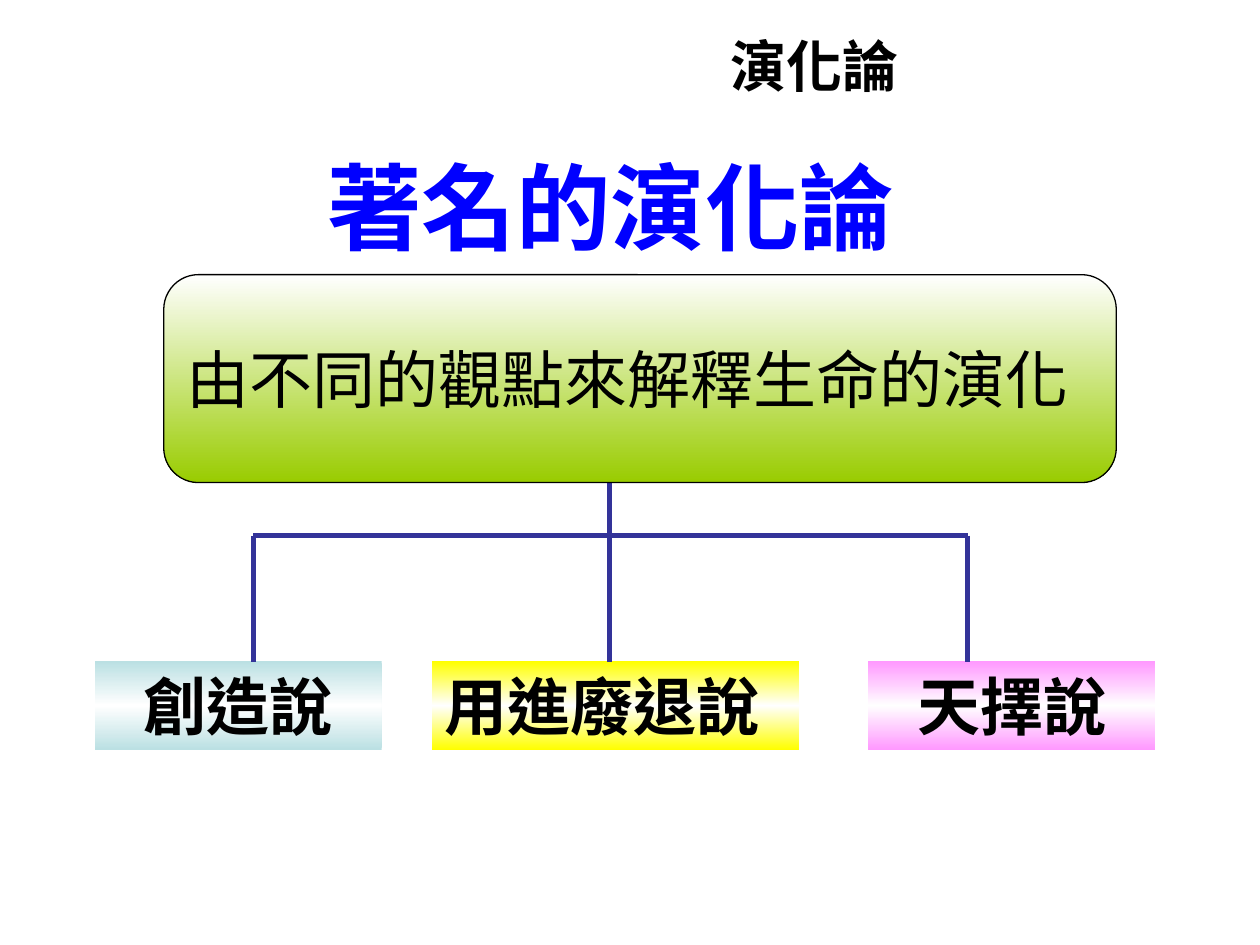
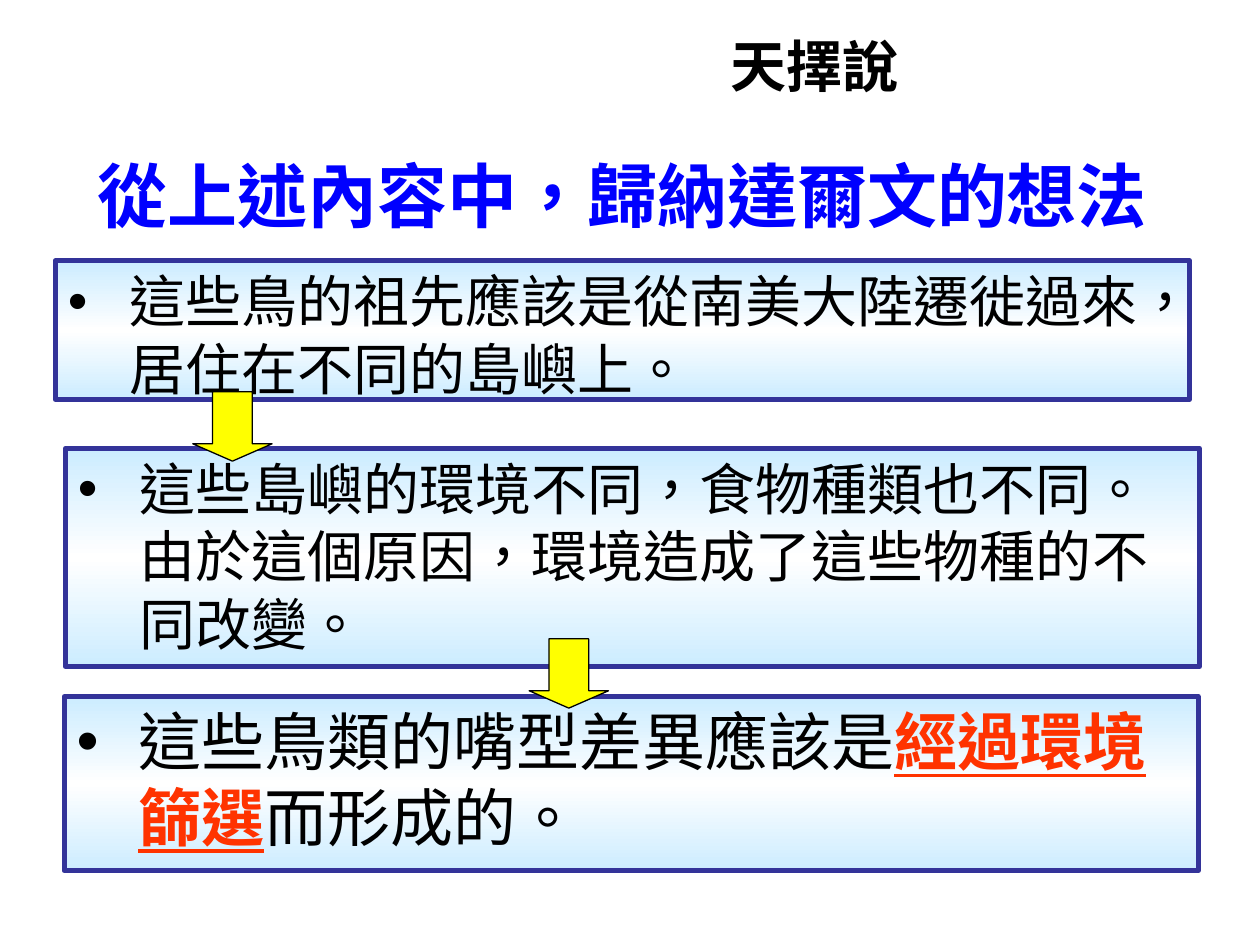
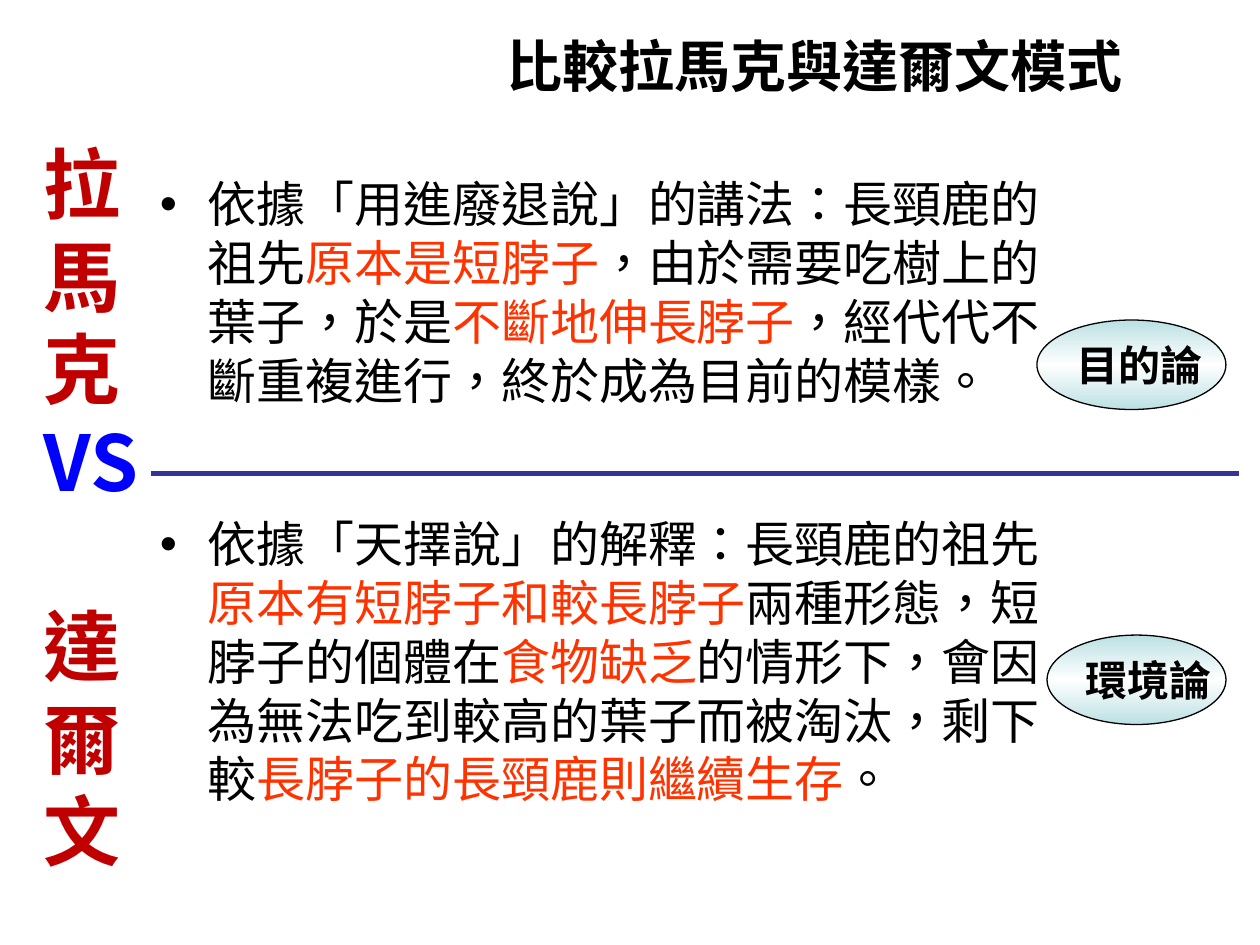
"""Build three slides on theories of evolution."""
import copy

import lxml.etree
import pptx
import pptx.dml.color
import pptx.enum.shapes
import pptx.enum.text
import pptx.oxml.ns
import pptx.util

Inches = pptx.util.Inches
Pt = pptx.util.Pt
qn = pptx.oxml.ns.qn
SHAPE = pptx.enum.shapes.MSO_SHAPE
ALIGN = pptx.enum.text.PP_ALIGN
ANCHOR = pptx.enum.text.MSO_ANCHOR

COLORS = {
    "black": "000000", "white": "FFFFFF", "blue": "0000FF", "navy": "333399",
    "teal": "BBE0E3", "yellow": "FFFF00", "pink": "FF99FF", "sky": "CCECFF",
    "green": "99CC00", "orange": "FF3300", "red": "C00000",
}


def rgb(name):
    return pptx.dml.color.RGBColor.from_string(COLORS[name])


def lengths(values):
    return [Inches(value) for value in values]


class Painter:
    font = "Noto Sans CJK SC"
    line_height = 1.2

    def __init__(self):
        self.deck = pptx.Presentation()
        self.deck.slide_width, self.deck.slide_height = lengths((10, 7.5))
        self.page = None

    def slide(self, title):
        self.page = self.deck.slides.add_slide(self.deck.slide_layouts[6])
        self.text((3.43, 0.21, 6.07, 0.61), title, 32, bold=True, align=ALIGN.CENTER)

    def style_run(self, run, size, color, bold, underline):
        run.font.size = Pt(size)
        run.font.bold = bold
        run.font.underline = underline
        run.font.color.rgb = rgb(color)
        run.font.name = self.font
        properties = run._r.get_or_add_rPr()
        properties.set("lang", "zh-TW")
        lxml.etree.SubElement(properties, qn("a:ea"), typeface=self.font)

    def bullet(self, para, indent):
        properties = para._p.get_or_add_pPr()
        properties.set("marL", str(Inches(indent)))
        properties.set("indent", str(-Inches(indent)))
        lxml.etree.SubElement(properties, qn("a:buFont"), typeface="Arial")
        lxml.etree.SubElement(properties, qn("a:buChar"), char="•")

    def fill_text(self, box, paragraphs, size, color="black", bold=False, align=ALIGN.LEFT,
                  anchor=ANCHOR.MIDDLE, wrap=True, indent=0, gaps=None, accent_bold=False):
        frame = box.text_frame
        frame.word_wrap = wrap
        frame.vertical_anchor = anchor
        if isinstance(paragraphs, str):
            paragraphs = [paragraphs]
        for index, spans in enumerate(paragraphs):
            para = frame.paragraphs[0] if index == 0 else frame.add_paragraph()
            para.alignment = align
            para.line_spacing = Pt(round(size * self.line_height, 1))
            para.space_before = Pt(gaps[index] if gaps else 0)
            if indent:
                self.bullet(para, indent)
            for number, span in enumerate([spans] if isinstance(spans, str) else spans):
                run = para.add_run()
                run.text = span
                accent = number % 2 == 1
                self.style_run(run, size, "orange" if accent else color,
                               bold or (accent and accent_bold), accent and accent_bold)

    def text(self, place, paragraphs, size, **style):
        box = self.page.shapes.add_textbox(*lengths(place))
        self.fill_text(box, paragraphs, size, **style)
        return box

    def shape(self, kind, place, fills, line=None, width=0.75):
        box = self.page.shapes.add_shape(kind, *lengths(place))
        box.shadow.inherit = False
        if len(fills) == 1:
            box.fill.solid()
            box.fill.fore_color.rgb = rgb(fills[0])
        else:
            self.gradient(box.fill, fills)
        if line:
            box.line.color.rgb = rgb(line)
            box.line.width = Pt(width)
        else:
            box.line.fill.background()
        return box

    def gradient(self, fill, names):
        fill.gradient()
        fill.gradient_angle = 270
        first = fill.gradient_stops[0]._gs
        for _ in names[2:]:
            first.addnext(copy.deepcopy(first))
        for index, (stop, name) in enumerate(zip(fill.gradient_stops, names)):
            stop.position = index / (len(names) - 1)
            stop.color.rgb = rgb(name)

    def glow(self, kind, place, color, **outline):
        return self.shape(kind, place, (color, "white", color), **outline)

    def line(self, *ends):
        connector = self.page.shapes.add_connector(
            pptx.enum.shapes.MSO_CONNECTOR.STRAIGHT, *lengths(ends))
        connector.line.color.rgb = rgb("navy")
        connector.line.width = Pt(3)
        lxml.etree.SubElement(connector._element.spPr, qn("a:effectLst"))


def theories(painter):
    painter.slide("演化論")
    painter.text((2.5, 1.17, 5, 0.92), "著名的演化論", 54, color="blue", bold=True)
    for name, left, width, color, align in (
            ("創造說", 0.75, 2.28, "teal", ALIGN.CENTER),
            ("用進廢退說", 3.43, 2.91, "yellow", ALIGN.LEFT),
            ("天擇說", 6.89, 2.28, "pink", ALIGN.CENTER)):
        theory = painter.glow(SHAPE.RECTANGLE, (left, 5.25, width, 0.7), color)
        painter.fill_text(theory, name, 36, bold=True, align=align, anchor=ANCHOR.TOP)
    painter.line(2.01, 4.25, 7.68, 4.25)
    for x, top in ((2.01, 4.25), (7.68, 4.25), (4.84, 3.75)):
        painter.line(x, top, x, 5.25)
    root = painter.shape(SHAPE.ROUNDED_RECTANGLE, (1.3, 2.18, 7.56, 1.65),
                         ("white", "green"), line="black")
    painter.fill_text(root, "由不同的觀點來解釋生命的演化", 36, wrap=False)


def selection(painter):
    painter.slide("天擇說")
    painter.text((0.44, 0.92, 9, 1.25), "從上述內容中，歸納達爾文的想法", 40,
                 color="blue", bold=True, align=ALIGN.CENTER)
    for left, top, height, size, spans in (
            (0.51, 5.53, 1.38, 36, ["這些鳥類的嘴型差異應該是", "經過環境篩選", "而形成的。"]),
            (0.44, 2.07, 1.1, 32, "這些鳥的祖先應該是從南美大陸遷徙過來，居住在不同的島嶼上。"),
            (0.52, 3.56, 1.73, 32,
             "這些島嶼的環境不同，食物種類也不同。由於這個原因，環境造成了這些物種的不同改變。")):
        idea = painter.glow(SHAPE.RECTANGLE, (left, top, 9, height), "sky",
                            line="navy", width=3)
        painter.fill_text(idea, [spans], size, anchor=ANCHOR.TOP, indent=0.49,
                          accent_bold=True)
    for left, top in ((1.53, 3.11), (4.2, 5.07)):
        arrow = painter.shape(SHAPE.DOWN_ARROW, (left, top, 0.63, 0.55), ("yellow",),
                              line="black")
        arrow.adjustments[0] = 0.5
        arrow.adjustments[1] = 0.25


def comparison(painter):
    painter.slide("比較拉馬克與達爾文模式")
    names = painter.text((0.25, 1.97, 1.02, 4.1), ["拉馬克", "VS", "達爾文"], 44,
                         color="red", bold=True, gaps=(0, 0, 52.8))
    names.text_frame.paragraphs[1].runs[0].font.color.rgb = rgb("blue")
    painter.text((1.17, 1.33, 7.38, 5.33), [
        ["依據「用進廢退說」的講法：長頸鹿的祖先", "原本是短脖子",
         "，由於需要吃樹上的葉子，於是", "不斷地伸長脖子",
         "，經代代不斷重複進行，終於成為目前的模樣。"],
        ["依據「天擇說」的解釋：長頸鹿的祖先", "原本有短脖子和較長脖子",
         "兩種形態，短脖子的個體在", "食物缺乏",
         "的情形下，會因為無法吃到較高的葉子而被淘汰，剩下較",
         "長脖子的長頸鹿則繼續生存", "。"],
    ], 28, anchor=ANCHOR.TOP, indent=0.38, gaps=(0, 60))
    for label, left, top, width in (("目的論", 8.23, 2.54, 1.5), ("環境論", 8.31, 5.04, 1.42)):
        view = painter.glow(SHAPE.OVAL, (left, top, width, 0.71), "teal", line="black")
        painter.fill_text(view, label, 24, bold=True, wrap=False)
    painter.line(1.2, 3.76, 9.83, 3.76)


def main():
    painter = Painter()
    for build in (theories, selection, comparison):
        build(painter)
    painter.deck.save("out.pptx")


if __name__ == "__main__":
    main()
